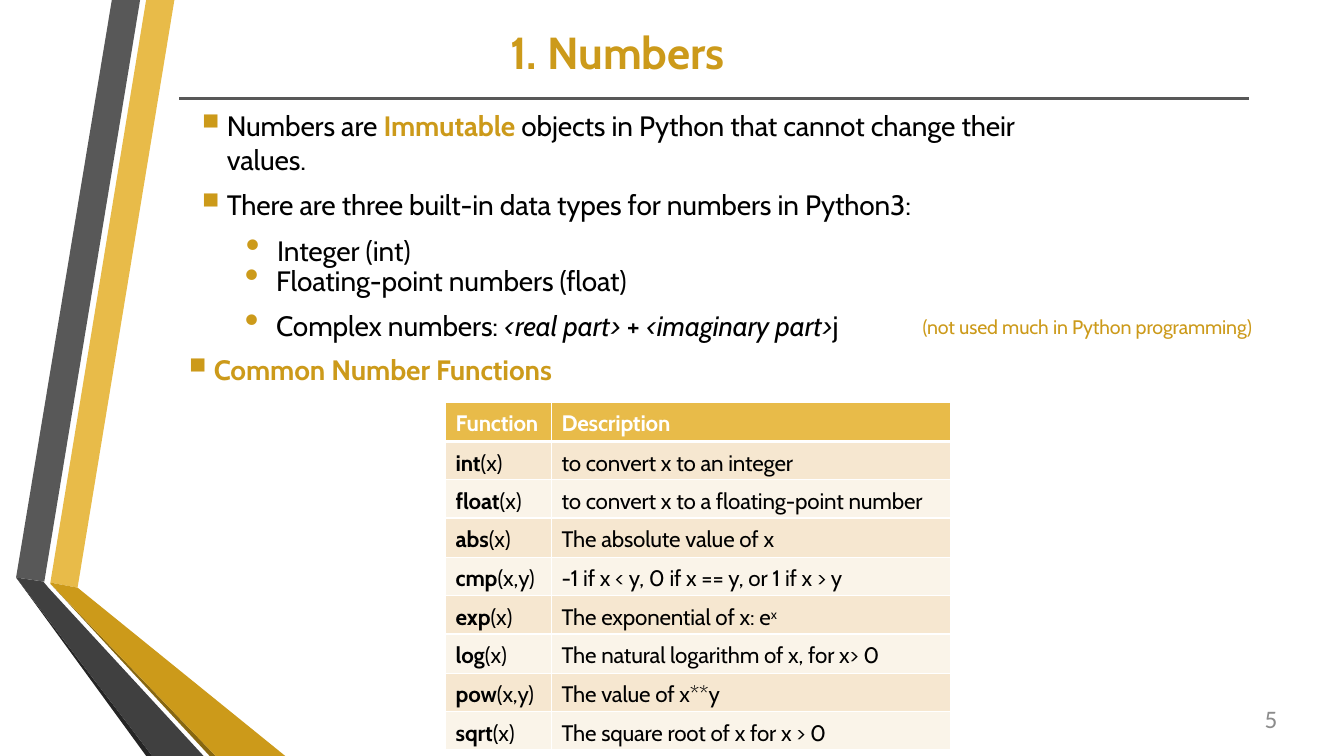
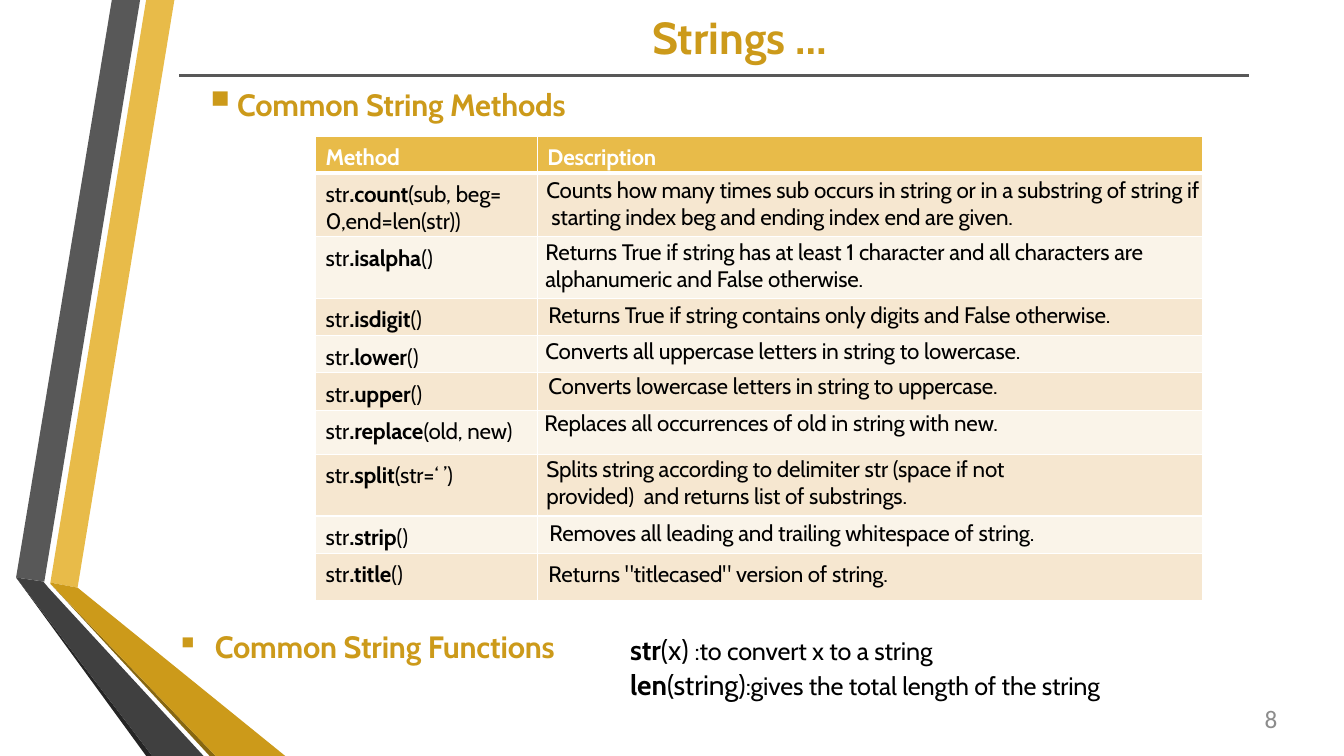
from lxml.etree import SubElement
from pptx import Presentation
from pptx.dml.color import RGBColor
from pptx.enum.shapes import MSO_CONNECTOR
from pptx.enum.text import PP_ALIGN
from pptx.oxml.ns import qn
from pptx.util import Pt

PX = 9144
COLORS = {
    "gold": "CC9A1A", "light_gold": "E8BB49", "dark_gold": "876711",
    "gray": "585858", "dark_gray": "404040", "black_gray": "252525",
    "number": "8C8C8C", "text": "000000", "white": "FFFFFF",
    "band_odd": "F6E7D0", "band_even": "FAF4E9",
}
RIBBONS = [
    ("light_gold", [(173, 0), (145, 0), (50, 578), (77, 583)]),
    ("gray", [(139, 0), (111, 0), (16, 573), (44, 577)]),
    ("black_gray", [(16, 573), (145, 750), (151, 750)]),
    ("dark_gold", [(50, 579), (208, 750), (214, 750)]),
    ("gold", [(50, 578), (50, 579), (214, 750), (283, 750), (77, 583)]),
    ("dark_gray", [(16, 573), (151, 750), (202, 750), (48, 583), (43, 577)]),
]
BASE = {"size": 20, "color": "text", "font": "Cabin", "bold": False,
        "italic": False, "spacing": -10, "baseline": 0}
TITLE = {"size": 32, "color": "gold", "bold": True, "spacing": 0}
HEADING = {"size": 22, "color": "gold", "bold": True}
CELL = {"size": 16}
HEADER = {"size": 16, "color": "white", "bold": True}
BOLD = {"bold": True}
ITALIC = {"italic": True}
SMALL = {"size": 18}


def rgb(name):
    return RGBColor.from_string(COLORS[name])


def style_span(span, style):
    font = span.font
    font.name = style["font"]
    font.size = Pt(style["size"])
    font.bold = style["bold"]
    font.italic = style["italic"]
    font.color.rgb = rgb(style["color"])
    properties = span._r.get_or_add_rPr()
    properties.set("spc", str(style["spacing"]))
    if style["baseline"]:
        properties.set("baseline", str(style["baseline"]))


def write_para(para, parts, style, before=0):
    parts = [(part, {}) if isinstance(part, str) else part for part in parts]
    para.text = parts[0][0]
    for text, _ in parts[1:]:
        para.add_run().text = text
    for span, (_, change) in zip(para.runs, parts):
        style_span(span, BASE | style | change)
    para.space_before = Pt(before)


def add_bullet(para, symbol, left=33, hang=31, percent=145):
    properties = para._p.get_or_add_pPr()
    properties.set("marL", str(left * PX))
    properties.set("indent", str(-hang * PX))
    color = SubElement(properties, qn("a:buClr"))
    SubElement(color, qn("a:srgbClr")).set("val", COLORS["gold"])
    SubElement(properties, qn("a:buSzPct")).set("val", str(percent * 1000))
    SubElement(properties, qn("a:buChar")).set("char", symbol)


def add_text(page, box, lines, style, bullets=(), befores=(1,)):
    frame = page.shapes.add_textbox(*(length * PX for length in box)).text_frame
    frame.word_wrap = True
    frame.margin_left = frame.margin_right = frame.margin_bottom = 0
    frame.margin_top = PX
    for index, parts in enumerate(lines):
        para = frame.add_paragraph() if index else frame.paragraphs[0]
        write_para(para, parts, style, befores[min(index, len(befores) - 1)])
        if bullets:
            add_bullet(para, *bullets[index])
    return frame


def draw_ribbons(page):
    for color, points in RIBBONS:
        builder = page.shapes.build_freeform(*points[0], scale=PX)
        builder.add_line_segments(points[1:], close=True)
        ribbon = builder.convert_to_shape()
        ribbon.shadow.inherit = False
        ribbon.fill.solid()
        ribbon.fill.fore_color.rgb = rgb(color)
        ribbon.line.fill.background()


def start_page(deck, title, title_box, rule_top, number):
    page = deck.slides.add_slide(deck.slide_layouts[6])
    draw_ribbons(page)
    rule = page.shapes.add_connector(
        MSO_CONNECTOR.STRAIGHT, 178 * PX, rule_top * PX, 1239 * PX, rule_top * PX)
    rule.line.color.rgb = rgb("gray")
    rule.line.width = Pt(2.25)
    SubElement(rule._element.spPr, qn("a:effectLst"))
    add_text(page, title_box, [[title]], TITLE)
    frame = add_text(page, (960, 697, 307, 38), [[number]],
                     {"size": 18, "color": "number", "font": "Calibri", "spacing": 0},
                     befores=(0,))
    frame.paragraphs[0].alignment = PP_ALIGN.RIGHT
    return page


def add_border(cell, side, width):
    line = SubElement(cell._tc.get_or_add_tcPr(), qn("a:ln" + side))
    line.set("w", str(Pt(width)))
    fill = SubElement(line, qn("a:solidFill"))
    SubElement(fill, qn("a:srgbClr")).set("val", COLORS["white"])


def fill_cell(cell, row, parts, left=10, top=8, right=0):
    cell.margin_left, cell.margin_top = left * PX, top * PX
    cell.margin_right, cell.margin_bottom = right * PX, 0
    write_para(cell.text_frame.paragraphs[0], parts, CELL if row else HEADER)
    widths = {"L": 1, "R": 1, "T": 3 if row == 1 else 1, "B": 1 if row else 3}
    for side, width in widths.items():
        add_border(cell, side, width)
    color = ("band_odd" if row % 2 else "band_even") if row else "light_gold"
    cell.fill.solid()
    cell.fill.fore_color.rgb = rgb(color)


def draw_table(page, left, top, widths, heights, rows):
    table = page.shapes.add_table(
        len(heights), len(widths), left * PX, top * PX,
        sum(widths) * PX, sum(heights) * PX).table
    table.first_row = table.horz_banding = False
    for column, width in zip(table.columns, widths):
        column.width = width * PX
    for index, (height, (call, description, *margins)) in enumerate(zip(heights, rows)):
        table.rows[index].height = height * PX
        fill_cell(table.cell(index, 0), index, call)
        fill_cell(table.cell(index, 1), index, [description]
                  if isinstance(description, str) else description, *margins)


def draw_numbers(deck):
    page = start_page(deck, "1. Numbers", (506, 24, 266, 56), 98, "5")
    square, dot = ("▪",), ("•",)
    add_text(page, (192, 107, 880, 159), [
        ["Numbers are ", ("Immutable ", {"color": "gold", "bold": True}),
         "objects in Python that cannot change their values."],
        ["There are three built-in data types for numbers in Python3:"],
        ["Integer (int)"],
    ], {}, [square, square, ("•", 83)], (1.1, 8.4))
    add_text(page, (241, 260, 651, 80), [
        ["Floating-point numbers (float)"],
        ["Complex numbers: ", ("<real part> ", ITALIC), "+ ",
         ("<imaginary part>", ITALIC), "j"],
    ], {}, [dot, dot], (1.1, 8.4))
    add_text(page, (915, 311, 355, 25), [["(not used much in Python programming)"]],
             {"size": 14, "color": "gold"})
    add_text(page, (179, 349, 451, 36), [["Common Number Functions"]],
             HEADING | {"size": 20}, [square])
    functions = [
        ("int", "(x)", "to convert x to an integer"),
        ("float", "(x)", "to convert x to a floating-point number"),
        ("abs", "(x)", "The absolute value of x"),
        ("cmp", "(x,y)", "-1 if x < y, 0 if x == y, or 1 if x > y"),
        ("exp", "(x)", ["The exponential of x: e", ("x", {"baseline": 26000})]),
        ("log", "(x)", "The natural logarithm of x, for x> 0"),
        ("pow", "(x,y)", "The value of x**y"),
        ("sqrt", "(x)", "The square root of x for x > 0"),
    ]
    rows = [(["Function"], "Description")]
    rows += [([(name, BOLD), inputs], text) for name, inputs, text in functions]
    draw_table(page, 442, 399, (105, 396), [39, 38, 38] * 3, rows)


def draw_strings(deck):
    page = start_page(deck, "Strings …", (647, 9, 211, 56), 75, "8")
    add_text(page, (200, 84, 475, 39), [["Common String Methods"]], HEADING, [("▪",)])
    methods = [
        (".count", "(sub, beg=  0,end=len(str))",
         "Counts how many times sub occurs in string or in a substring of string "
         "if  starting index beg and ending index end are given.", 9, 4),
        (".isalpha", "()",
         "Returns True if string has at least 1 character and all characters are "
         " alphanumeric and False otherwise.", 8, 2),
        (".isdigit", "()",
         "Returns True if string contains only digits and False otherwise.", 11, 4),
        (".lower", "()", "Converts all uppercase letters in string to lowercase.", 8, 2),
        (".upper", "()", "Converts lowercase letters in string to uppercase.", 11, 0),
        (".replace", "(old, new)",
         "Replaces all occurrences of old in string with new.", 7, 0),
        (".split", "(str=‘ ’)",
         "Splits string according to delimiter str (space if not provided)  "
         "and returns list of substrings.", 9, 2, 130),
        (".strip", "()", "Removes all leading and trailing whitespace of string.", 12, 4),
        (".title", "()", "Returns \"titlecased\" version of string.", 11, 8),
    ]
    rows = [(["Method"], "Description")]
    rows += [(["str", (name, BOLD), inputs], *rest) for name, inputs, *rest in methods]
    draw_table(page, 313, 135, (220, 660),
               (37, 63, 61, 37, 37, 37, 44, 61, 37, 47), rows)
    add_text(page, (174, 622, 436, 39), [["Common String Functions"]], HEADING,
             [("▪", 39, 38, 100)])
    add_text(page, (625, 627, 518, 70), [
        [("str", BOLD), "(x) ", (":to convert x to a string", SMALL)],
        [("len", BOLD), "(string)", (":gives the total length of the string", SMALL)],
    ], {}, befores=(1, 0.5))


def main():
    deck = Presentation()
    deck.slide_width, deck.slide_height = 1333 * PX, 750 * PX
    draw_numbers(deck)
    draw_strings(deck)
    deck.save("out.pptx")


if __name__ == "__main__":
    main()
